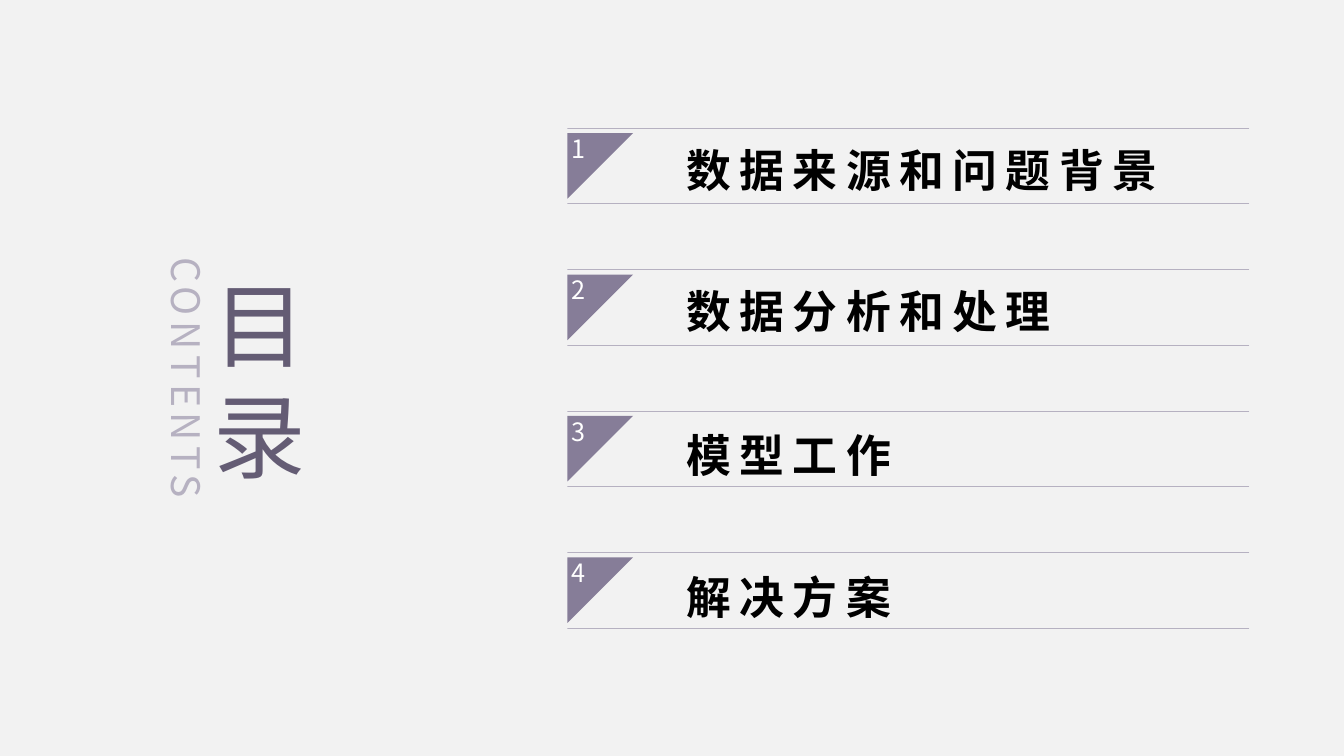
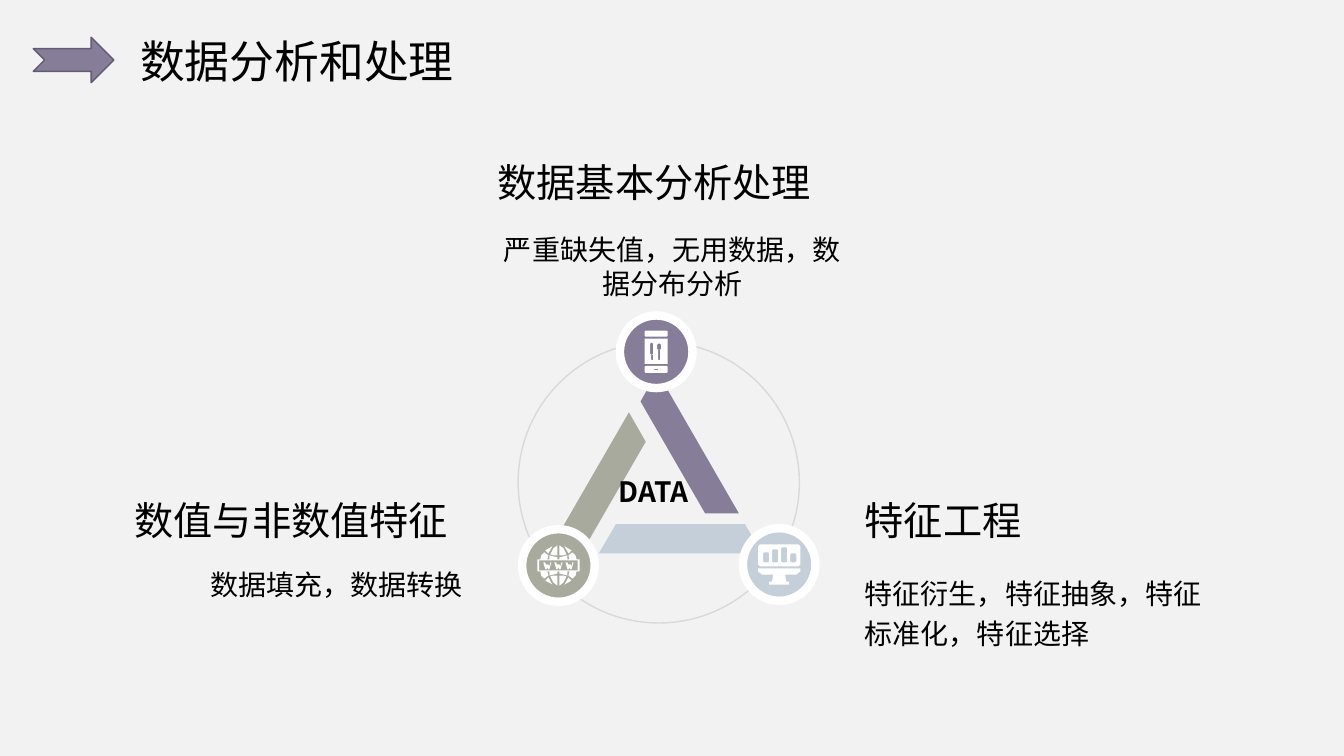
from lxml import etree
from pptx import Presentation
from pptx.dml.color import RGBColor
from pptx.enum.shapes import MSO_SHAPE
from pptx.enum.text import MSO_ANCHOR, MSO_AUTO_SIZE, PP_ALIGN
from pptx.oxml.ns import qn
from pptx.util import Inches, Pt

ELLIPSE, TRAPEZOID = MSO_SHAPE.OVAL, MSO_SHAPE.TRAPEZOID
NOTCHED_ARROW = MSO_SHAPE.NOTCHED_RIGHT_ARROW
TOP, MIDDLE = MSO_ANCHOR.TOP, MSO_ANCHOR.MIDDLE
LEFT, CENTER, RIGHT = PP_ALIGN.LEFT, PP_ALIGN.CENTER, PP_ALIGN.RIGHT

PAPER = RGBColor(0xF2, 0xF2, 0xF2)
BLACK = RGBColor(0, 0, 0)
WHITE = RGBColor(0xFF, 0xFF, 0xFF)
PURPLE = RGBColor(0x86, 0x7D, 0x98)
DARK_PURPLE = RGBColor(0x64, 0x5C, 0x74)
ARROW_EDGE = RGBColor(0x63, 0x5C, 0x70)
LILAC = RGBColor(0xB6, 0xB1, 0xC1)
BLUE = RGBColor(0xC4, 0xCF, 0xD9)
OLIVE = RGBColor(0xA7, 0xAA, 0x9D)
RING = RGBColor(0xD9, 0xD9, 0xD9)

CJK = "Noto Sans CJK SC"
UNITS = 1000
TITLE_ONLY = 5

HEADING = {"name": "Arial", "size": Pt(28)}
DETAIL = {"size": Pt(20)}


def write_text(box, lines, font, color=BLACK, align=LEFT, anchor=MIDDLE,
               insets=(0, 0, 0, 0), line_spacing=None, tracking=0):
    """Fill the text frame of box with one formatted paragraph per line."""
    frame = box.text_frame
    sides = ("margin_left", "margin_top", "margin_right", "margin_bottom")
    settings = dict(zip(sides, map(Inches, insets)))
    settings.update(word_wrap=True, auto_size=MSO_AUTO_SIZE.NONE, vertical_anchor=anchor)
    for name, value in settings.items():
        setattr(frame, name, value)
    for index, line in enumerate(lines):
        para = frame.add_paragraph() if index else frame.paragraphs[0]
        para.alignment = align
        para.line_spacing = line_spacing
        span = para.add_run()
        span.text = line
        for name, value in {"name": CJK, **font}.items():
            setattr(span.font, name, value)
        span.font.color.rgb = color
        properties = span.font._element
        etree.SubElement(properties, qn("a:ea")).set("typeface", CJK)
        if tracking:
            properties.set("spc", str(tracking * 100))


def add_text(page, place, lines, font, **options):
    """Add a text box at place (left, top, width, height in inches)."""
    box = page.shapes.add_textbox(*map(Inches, place))
    write_text(box, lines, font, **options)
    return box


def set_title(page, place, lines, font, **options):
    """Move the title placeholder to place and fill it."""
    title = page.shapes.title
    for name, value in zip(("left", "top", "width", "height"), place):
        setattr(title, name, Inches(value))
    write_text(title, lines, font, **options)


def paint(shape, fill=None, line=None, width=1):
    """Give shape a plain fill and outline, without shadow."""
    shape.shadow.inherit = False
    if fill is None:
        shape.fill.background()
    else:
        shape.fill.solid()
        shape.fill.fore_color.rgb = fill
    if line is None:
        shape.line.fill.background()
    else:
        shape.line.color.rgb = line
        shape.line.width = Pt(width)


def add_preset(page, kind, place, rotation=0, **colors):
    """Add a painted preset shape at place."""
    shape = page.shapes.add_shape(kind, *map(Inches, place))
    shape.rotation = rotation
    paint(shape, **colors)
    return shape


def add_outline(page, left, top, contours, **colors):
    """Draw closed contours, in inches relative to left and top."""
    builder = None
    for contour in contours:
        points = [(x * UNITS, y * UNITS) for x, y in contour]
        if builder is None:
            builder = page.shapes.build_freeform(*points[0], scale=Inches(1) / UNITS)
        else:
            builder.move_to(*points[0])
        builder.add_line_segments(points[1:], close=True)
    shape = builder.convert_to_shape(Inches(left), Inches(top))
    paint(shape, **colors)
    return shape


def block(left, top, right, bottom, cut=0.01):
    """Return a rectangle contour with cut corners."""
    return [(left + cut, top), (right - cut, top), (right, top + cut),
            (right, bottom - cut), (right - cut, bottom), (left + cut, bottom),
            (left, bottom - cut), (left, top + cut)]


def phone_contours():
    """Return a phone with cutlery on its screen, around its centre."""
    return [block(-0.115, -0.21, 0.115, -0.15), block(-0.115, -0.13, 0.115, 0.12, 0),
            block(-0.115, 0.14, 0.115, 0.21), block(-0.02, 0.17, 0.02, 0.18, 0),
            block(-0.06, -0.09, -0.03, 0.03), block(-0.05, 0.03, -0.03, 0.08, 0),
            block(0.01, -0.08, 0.05, -0.02), block(0.02, -0.02, 0.04, 0.08, 0)]


def globe_contours():
    """Return a globe with a lettered band, around its centre."""
    quarter = [[(0.1, 0.12), (0.13, 0.15), (0.06, 0.19)],
               [(0.01, 0.1), (0.05, 0.1), (0.08, 0.11), (0.05, 0.17), (0.01, 0.2)],
               [(0.11, 0.06), (0.18, 0.06), (0.17, 0.1), (0.14, 0.13), (0.1, 0.1)],
               [(0.01, 0.06), (0.09, 0.06), (0.09, 0.1), (0.01, 0.08)]]
    letter = [(0, 0), (0.02, 0), (0.03, 0.04), (0.03, 0.02), (0.05, 0.02),
              (0.06, 0.04), (0.07, 0), (0.08, 0), (0.06, 0.07), (0.05, 0.07),
              (0.04, 0.05), (0.03, 0.07), (0.02, 0.07)]
    pieces = [[(x * flip, y * turn) for x, y in piece]
              for flip in (1, -1) for turn in (1, -1) for piece in quarter]
    letters = [[(x + shift, y - 0.03) for x, y in letter] for shift in (-0.15, -0.04, 0.07)]
    band = [block(-0.21, -0.06, 0.21, 0.06, 0), block(-0.19, -0.05, 0.19, 0.05, 0)]
    return pieces + band + letters


def monitor_contours():
    """Return a monitor with four bars on its screen, around its centre."""
    stand = [(-0.17, 0.1), (-0.21, 0.07), (-0.21, 0.04), (0.21, 0.04), (0.21, 0.07),
             (0.17, 0.1), (0.06, 0.1), (0.07, 0.17), (0.1, 0.17), (0.1, 0.2),
             (-0.1, 0.2), (-0.1, 0.17), (-0.07, 0.17), (-0.06, 0.1)]
    bars = [block(-0.16 + 0.09 * index, top, -0.1 + 0.09 * index, -0.02)
            for index, top in enumerate((-0.12, -0.15, -0.17, -0.11))]
    return [block(-0.21, -0.2, 0.21, 0.02, 0.02), stand] + bars


def agenda_row(page, box, number, text, line_spacing):
    """Place one ruled agenda entry with its numbered corner in box."""
    left, top, width, height = box
    rules = [[(0, edge), (width, edge)] for edge in (height, 0)]
    entry = add_outline(page, left, top, rules, line=LILAC, width=0.25)
    write_text(entry, [text], {"size": Pt(32), "bold": True}, tracking=6,
               insets=(1.18, 0, 0, 0.04), line_spacing=line_spacing)
    side = 0.65
    corner = add_outline(page, left, top + 0.05, [[(0, 0), (side, 0), (0, side)]],
                         fill=PURPLE)
    write_text(corner, [str(number)], {"size": Pt(18)}, color=WHITE, anchor=TOP,
               insets=(0.04, 0, 0, 0.47))


def contents_slide(page):
    """Build the contents slide: vertical title and agenda rows."""
    entries = [("数据来源和问题背景", 1.2), ("数据分析和处理", 1.2),
               ("模型工作", 1.3), ("解决方案", 1.3)]
    first, last = 1.27, 5.48
    step = (last - first) / (len(entries) - 1)
    for index, (text, line_spacing) in enumerate(entries):
        agenda_row(page, (5.63, first + step * index, 6.76, 0.75),
                   index + 1, text, line_spacing)
    set_title(page, (1.79, 2.26, 1.57, 3.01), ["目", "录"], {"size": Pt(66)},
              color=DARK_PURPLE, align=CENTER)
    label = add_text(page, (-0.17, 3.46, 4.04, 0.57), ["CONTENTS"], {"size": Pt(28)},
                     color=LILAC, align=CENTER, tracking=4, anchor=TOP,
                     insets=(0.1, 0.05, 0.1, 0.05))
    label.rotation = 90


def data_triangle(page, left, top):
    """Draw the ring, the triangle of bars, its icon badges and its label."""
    add_preset(page, ELLIPSE, (left, top, 2.79, 2.79), line=RING)
    bars = [(0.85, 0.93, 240, PURPLE), (0.8, 1.81, 0, BLUE), (0.01, 1.33, 120, OLIVE)]
    for x, y, rotation, color in bars:
        bar = add_preset(page, TRAPEZOID, (left + x, top + y, 1.62, 0.29), rotation, fill=color)
        bar.adjustments[0] = 0.584
    badges = [(1.01, -0.26, PURPLE, phone_contours), (0.04, 1.86, OLIVE, globe_contours),
              (2.23, 1.85, BLUE, monitor_contours)]
    size = 0.72
    for x, y, color, contours in badges:
        add_preset(page, ELLIPSE, (left + x, top + y, size, size),
                   fill=color, line=WHITE, width=6)
        add_outline(page, left + x + size / 2, top + y + size / 2, contours(), fill=WHITE)
    add_text(page, (left + 0.52, top + 1.16, 1.65, 0.64), ["DATA"],
             {"size": Pt(20), "bold": True}, align=CENTER)


def analysis_slide(page):
    """Build the analysis slide: arrow title, triangle and three topics."""
    add_preset(page, NOTCHED_ARROW, (0.33, 0.37, 0.8, 0.45), fill=PURPLE, line=ARROW_EDGE)
    set_title(page, (1.29, 0.28, 3.97, 0.64), ["数据分析和处理"], {"size": Pt(32)},
              anchor=TOP, insets=(0.1, 0.05, 0.1, 0.05))
    data_triangle(page, 5.14, 3.39)
    topics = [
        ("数据基本分析处理", (4.69, 1.59, 3.6, 0.42), CENTER,
         "严重缺失值，无用数据，数据分布分析", (4.87, 2.38, 3.6, 0.52), CENTER, None),
        ("数值与非数值特征", (0.99, 4.84, 3.8, 0.63), CENTER,
         "数据填充，数据转换", (0.99, 5.5, 3.6, 0.52), RIGHT, 1.2),
        ("特征工程", (8.58, 4.84, 3.73, 0.63), LEFT,
         "特征衍生，特征抽象，特征标准化，特征选择", (8.58, 5.79, 3.6, 0.52), LEFT, 1.2),
    ]
    for heading, place, align, detail, detail_place, detail_align, spacing in topics:
        add_text(page, place, [heading], HEADING, align=align)
        add_text(page, detail_place, [detail], DETAIL, align=detail_align,
                 line_spacing=spacing)


def main():
    """Build and save the deck."""
    deck = Presentation()
    deck.slide_width, deck.slide_height = Inches(40 / 3), Inches(7.5)
    background = deck.slide_master.background.fill
    background.solid()
    background.fore_color.rgb = PAPER
    for build in (contents_slide, analysis_slide):
        build(deck.slides.add_slide(deck.slide_layouts[TITLE_ONLY]))
    deck.save("out.pptx")


main()
